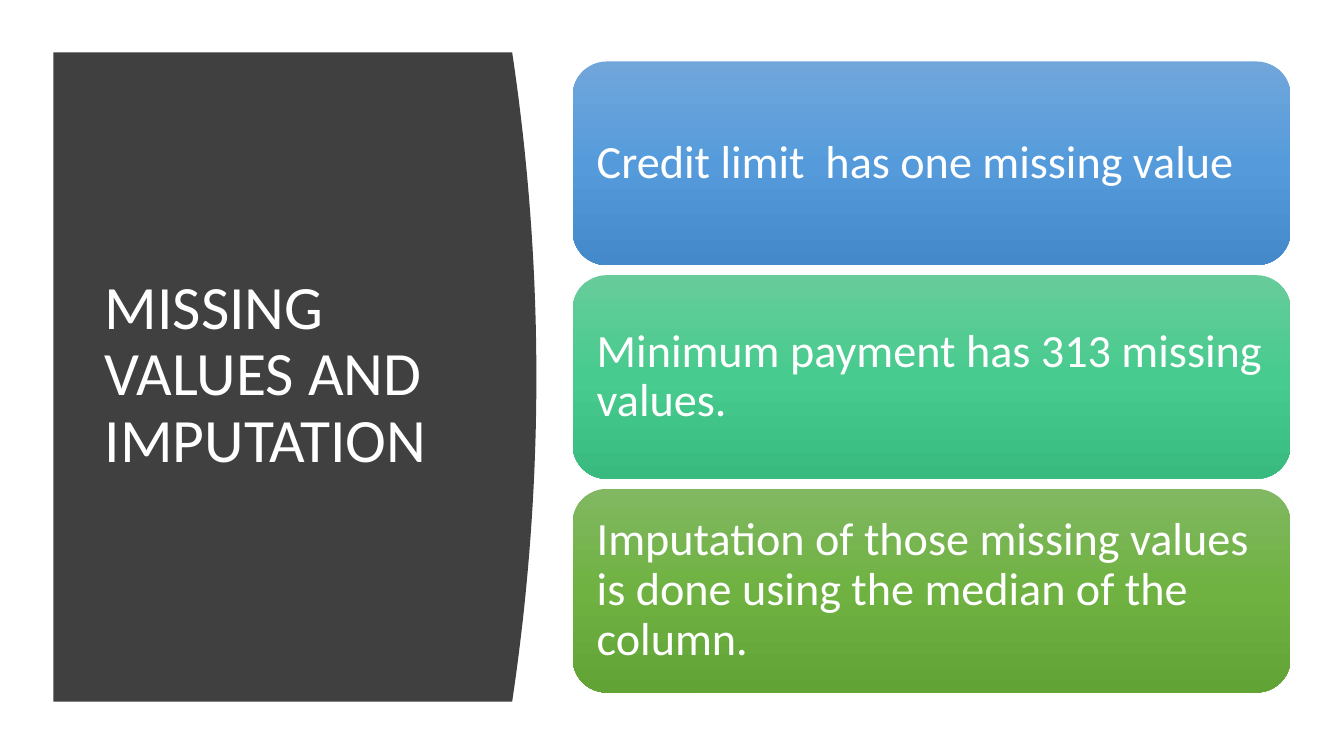
"""Build the slide on missing values and their imputation."""
from copy import deepcopy

from pptx import Presentation
from pptx.dml.color import RGBColor
from pptx.enum.shapes import MSO_SHAPE
from pptx.enum.text import MSO_ANCHOR, PP_ALIGN
from pptx.oxml.ns import qn
from pptx.util import Pt

EMU_PER_PX = 9144
FONT = "Calibri"
WHITE = "FFFFFF"
CHARCOAL = "404040"
FINDINGS = [
    ("Credit limit  has one missing value", ("71A6DB", "559BDB", "448ACA")),
    ("Minimum payment has 313 missing values.", ("67CC9A", "47CB8E", "39BB7F")),
    ("Imputation of those missing values is done using the median of the column.",
     ("81B861", "6FB242", "62A336")),
]


def px(length):
    """Turn px, at 100 to the inch, into EMU."""
    return int(length * EMU_PER_PX)


def color(hex_code):
    """Turn a hex string into a colour."""
    return RGBColor.from_string(hex_code)


def write_text(holder, text, size, inset):
    """Write white, left-aligned, vertically centred text."""
    frame = holder.text_frame
    frame.word_wrap = True
    frame.vertical_anchor = MSO_ANCHOR.MIDDLE
    frame.margin_left = frame.margin_right = px(inset)
    frame.margin_top = frame.margin_bottom = px(inset)
    frame.text = text
    paragraph = frame.paragraphs[0]
    paragraph.alignment = PP_ALIGN.LEFT
    paragraph.line_spacing = 0.9
    font = paragraph.runs[0].font
    font.name = FONT
    font.size = Pt(size)
    font.color.rgb = color(WHITE)


def fill_gradient(shape, hex_codes):
    """Fill a shape from top to bottom with evenly spaced colour stops."""
    shape.fill.gradient()
    shape.fill.gradient_angle = 270
    stop_list = shape._element.spPr.find(qn("a:gradFill")).find(qn("a:gsLst"))
    while len(stop_list) < len(hex_codes):
        stop_list.append(deepcopy(stop_list[0]))
    for index, (stop, code) in enumerate(zip(shape.fill.gradient_stops, hex_codes)):
        stop.position = index / (len(hex_codes) - 1)
        stop.color.rgb = color(code)


def add_curved_panel(slide, left, top, right, bottom, bulge, steps=40):
    """Draw a dark panel whose right edge bows out as a parabola."""
    edge = []
    for step in range(steps + 1):
        offset = 2 * step / steps - 1
        x = right + bulge * (1 - offset ** 2)
        y = top + (bottom - top) * step / steps
        edge.append((px(x), px(y)))
    outline = slide.shapes.build_freeform(px(left), px(top))
    outline.add_line_segments(edge + [(px(left), px(bottom))], close=True)
    panel = outline.convert_to_shape()
    panel.shadow.inherit = False
    panel.fill.solid()
    panel.fill.fore_color.rgb = color(CHARCOAL)
    panel.line.fill.background()


def add_title(slide, text, left, top, width, height):
    """Place the slide title."""
    title = slide.shapes.add_textbox(px(left), px(top), px(width), px(height))
    write_text(title, text, 44, 10)


def add_card(slide, text, hex_codes, left, top, width, height):
    """Add a rounded gradient card holding one finding."""
    card = slide.shapes.add_shape(
        MSO_SHAPE.ROUNDED_RECTANGLE, px(left), px(top), px(width), px(height))
    card.shadow.inherit = False
    card.line.fill.background()
    fill_gradient(card, hex_codes)
    write_text(card, text, 33, 14)


def main():
    """Build and save the slide."""
    deck = Presentation()
    deck.slide_width, deck.slide_height = px(1333), px(750)
    slide = deck.slides.add_slide(deck.slide_layouts[6])
    add_curved_panel(slide, 53, 52, 508, 696, 24)
    add_title(slide, "MISSING VALUES AND IMPUTATION", 94, 111, 374, 524)
    card_height, gap = 202, 10
    for row, (finding, hex_codes) in enumerate(FINDINGS):
        top = 61 + row * (card_height + gap)
        add_card(slide, finding, hex_codes, 568, top, 712, card_height)
    deck.save("out.pptx")


if __name__ == "__main__":
    main()
